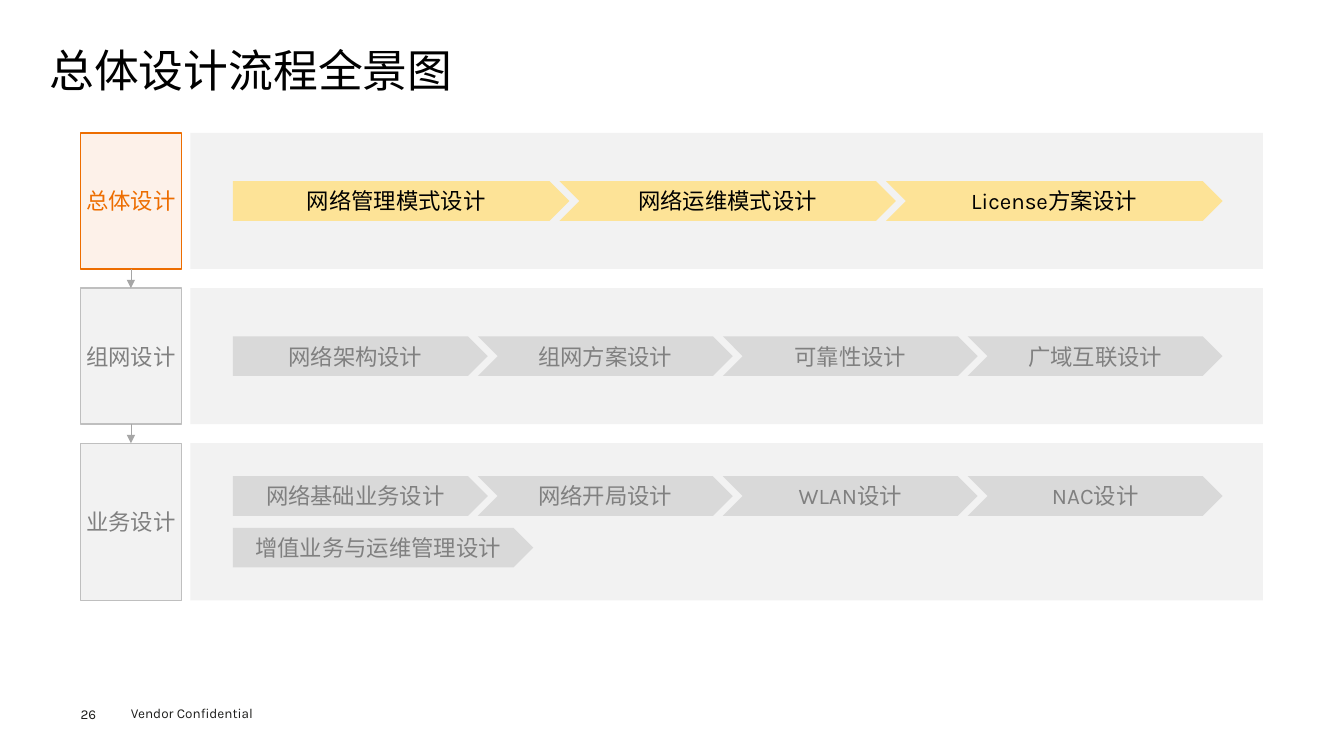
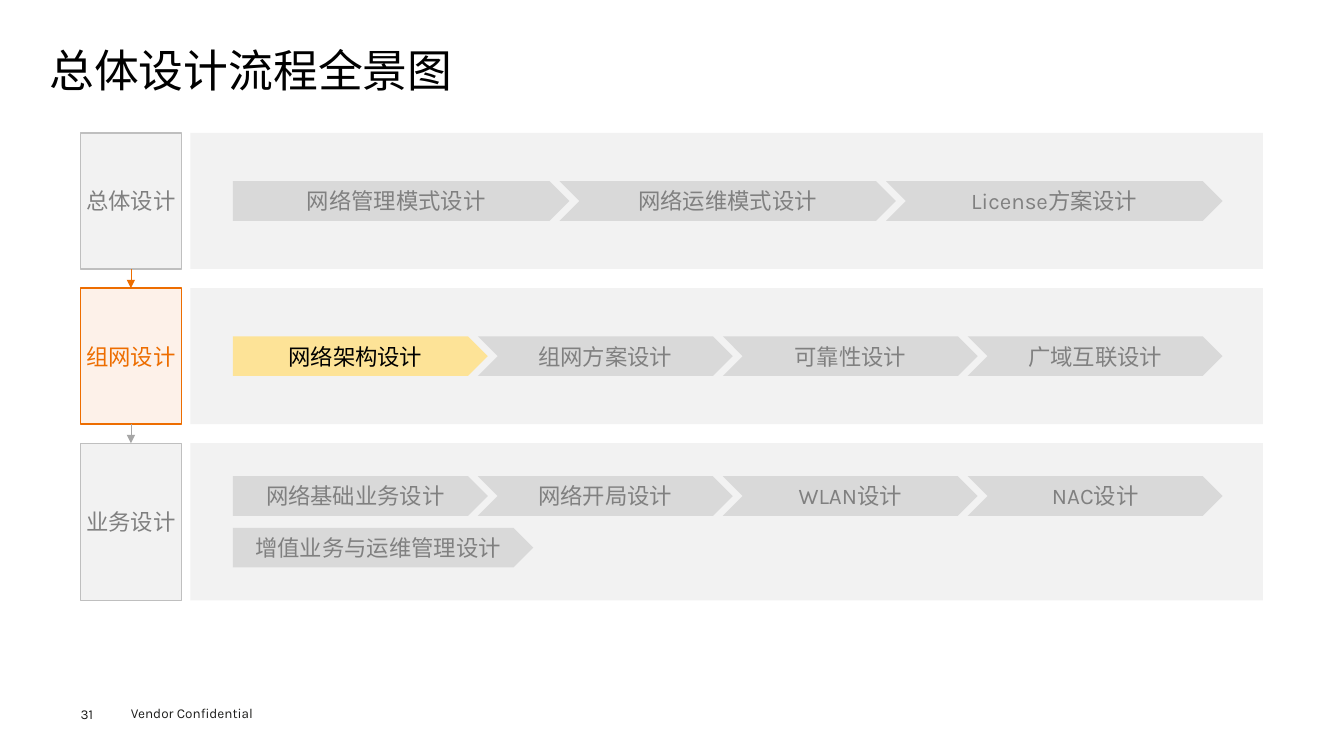
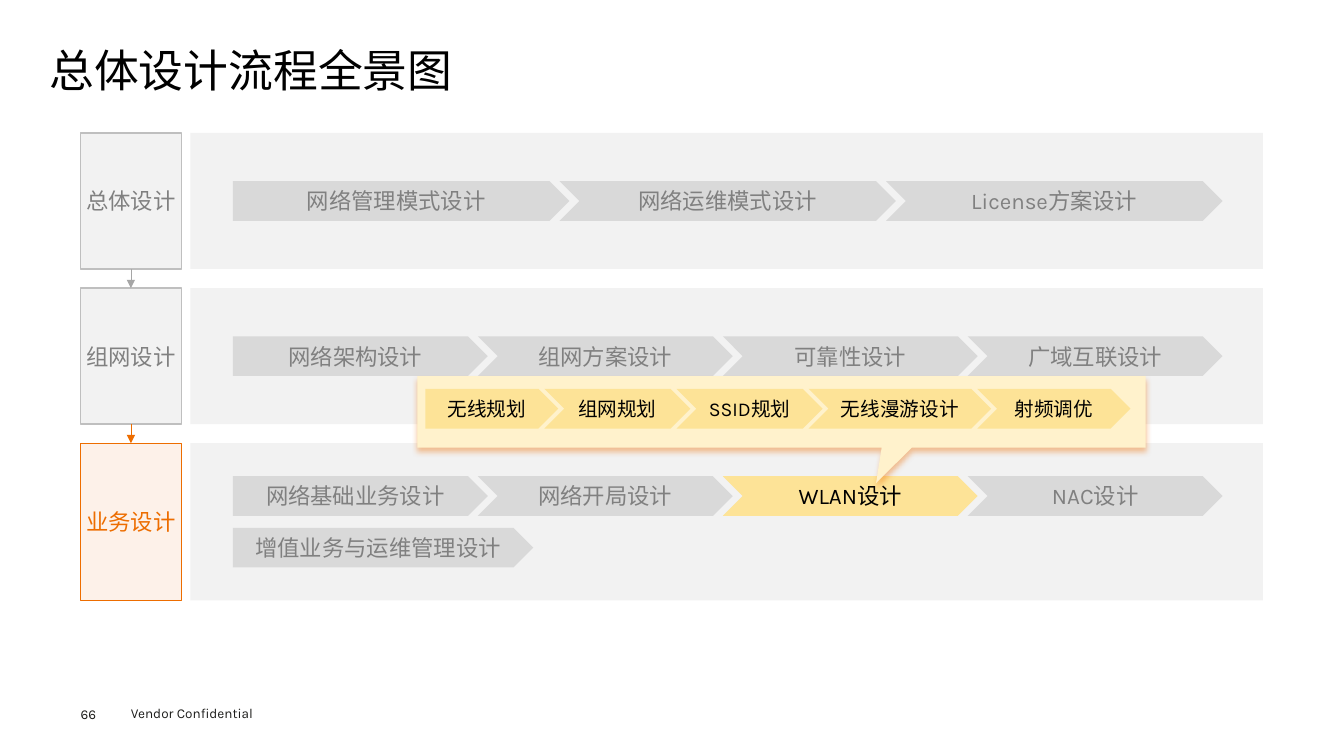
from lxml.etree import SubElement
from pptx import Presentation
from pptx.dml.color import RGBColor
from pptx.enum.shapes import MSO_CONNECTOR as Connector, MSO_SHAPE as Shape
from pptx.enum.text import MSO_ANCHOR as Anchor, MSO_AUTO_SIZE as AutoSize, PP_ALIGN as Align
from pptx.oxml import parse_xml
from pptx.oxml.ns import nsdecls, qn
from pptx.util import Cm, Pt

TITLE = "总体设计流程全景图"
FOOTER = "Vendor Confidential"

# Stage name, box height in cm, rows of steps
STAGES = [
    ("总体设计", 3.43, [["网络管理模式设计", "网络运维模式设计", "License方案设计"]]),
    ("组网设计", 3.43, [["网络架构设计", "组网方案设计", "可靠性设计", "广域互联设计"]]),
    ("业务设计", 3.96, [["网络基础业务设计", "网络开局设计", "WLAN设计", "NAC设计"],
                    ["增值业务与运维管理设计"]]),
]
WLAN_STEPS = [("无线规划", 3.35), ("组网规划", 3.68), ("SSID规划", 3.68),
              ("无线漫游设计", 4.6), ("射频调优", 3.86)]
# Page number, active stage, highlighted steps, steps in the callout
PAGES = [
    ("26", "总体设计", STAGES[0][2][0], []),
    ("31", "组网设计", ["网络架构设计"], []),
    ("66", "业务设计", ["WLAN设计"], WLAN_STEPS),
]

FONT = "Karla"
BLACK, INK, ORANGE = "000000", "1D1D1B", "ED6D00"
PANEL, GREY_TEXT, GREY_ARROW = "F2F2F2", "808080", "A6A6A6"
STAGE_ACTIVE = dict(fill="FDF1E9", line=ORANGE, color=ORANGE)
STAGE_IDLE = dict(fill=PANEL, line="BFBFBF", color=GREY_TEXT)
STEP_ACTIVE = dict(fill="FDE397", color=BLACK)
STEP_IDLE = dict(fill="D9D9D9", color=GREY_TEXT)

# Lengths in cm
STAGE_LEFT, STAGE_TOP, STAGE_WIDTH, STAGE_GAP = 2.03, 3.35, 2.54, 0.48
PANEL_LEFT, PANEL_WIDTH = 4.8, 27.03
STEP_LEFT, ROW_WIDTH, STEP_HEIGHT, ROW_PITCH = 5.87, 24.94, 1, 1.3
STEP_OVERLAP, SINGLE_WIDTH = 0.25, 7.57
CALLOUT = [(10.52, 9.48), (28.87, 9.48), (28.87, 11.28), (22.98, 11.28),
           (22.08, 12.17), (22.22, 11.28), (10.52, 11.28)]
CALLOUT_STEP_LEFT, CALLOUT_STEP_TOP, CALLOUT_OVERLAP = 10.72, 9.8, 0.35


def rgb(value):
    return RGBColor.from_string(value)


def write(box, text, size, color, align=Align.LEFT, anchor=Anchor.TOP, inset=0.0):
    frame = box.text_frame
    frame.word_wrap = True
    frame.auto_size = AutoSize.NONE
    frame.vertical_anchor = anchor
    frame.margin_left = frame.margin_right = Cm(inset)
    frame.margin_top = frame.margin_bottom = Cm(inset / 2)
    para = frame.paragraphs[0]
    para.text = text
    para.alignment = align
    para.font.name = FONT
    para.font.size = Pt(size)
    para.font.color.rgb = rgb(color)
    return para


def paint(shape, fill, line=None):
    shape.shadow.inherit = False
    shape.fill.solid()
    shape.fill.fore_color.rgb = rgb(fill)
    if line:
        shape.line.color.rgb = rgb(line)
        shape.line.width = Pt(1)
    else:
        shape.line.fill.background()


def add_box(page, kind, place, fill, line=None, text="", size=16, color=BLACK):
    box = page.shapes.add_shape(kind, *map(Cm, place))
    paint(box, fill, line)
    if text:
        write(box, text, size, color, Align.CENTER, Anchor.MIDDLE)
    return box


def add_arrow(page, upper, lower, color):
    arrow = page.shapes.add_connector(Connector.STRAIGHT, 0, 0, 0, 0)
    arrow.begin_connect(upper, 2)
    arrow.end_connect(lower, 0)
    arrow.line.color.rgb = rgb(color)
    arrow.line.width = Pt(0.5)
    SubElement(arrow.line._get_or_add_ln(), qn("a:tailEnd"), type="triangle")
    SubElement(arrow._element.spPr, qn("a:effectLst"))


def add_steps(page, left, top, steps, overlap, highlighted, size):
    """Draw one chain of (text, width) steps: a pentagon, then chevrons."""
    for index, (text, width) in enumerate(steps):
        style = STEP_ACTIVE if text in highlighted else STEP_IDLE
        kind = Shape.CHEVRON if index else Shape.PENTAGON
        add_box(page, kind, (left, top, width, STEP_HEIGHT), text=text, size=size, **style)
        left += width - overlap


def add_stages(page, active, highlighted):
    top, previous = STAGE_TOP, None
    for name, height, rows in STAGES:
        add_box(page, Shape.RECTANGLE, (PANEL_LEFT, top, PANEL_WIDTH, height), PANEL)
        style = STAGE_ACTIVE if name == active else STAGE_IDLE
        box = add_box(page, Shape.RECTANGLE, (STAGE_LEFT, top, STAGE_WIDTH, height),
                      text=name, **style)
        if previous:
            add_arrow(page, previous, box, ORANGE if name == active else GREY_ARROW)
        row_top = top + (height - STEP_HEIGHT - ROW_PITCH * (len(rows) - 1)) / 2
        for row in rows:
            count = len(row)
            width = (ROW_WIDTH + STEP_OVERLAP * (count - 1)) / count if count > 1 else SINGLE_WIDTH
            add_steps(page, STEP_LEFT, row_top, [(text, width) for text in row],
                      STEP_OVERLAP, highlighted, 16)
            row_top += ROW_PITCH
        top += height + STAGE_GAP
        previous = box


def add_callout(page, steps):
    corners = [(Cm(x), Cm(y)) for x, y in CALLOUT]
    builder = page.shapes.build_freeform(*corners[0])
    builder.add_line_segments(corners[1:], close=True)
    callout = builder.convert_to_shape()
    paint(callout, "FFF2CC")
    effects = callout._element.spPr.find(qn("a:effectLst"))
    effects.append(parse_xml(
        f'<a:outerShdw {nsdecls("a")} blurRad="{Pt(4)}" dist="{Pt(3)}" dir="5400000" '
        f'algn="t" rotWithShape="0"><a:srgbClr val="{ORANGE}"><a:alpha val="40000"/>'
        '</a:srgbClr></a:outerShdw>'))
    add_steps(page, CALLOUT_STEP_LEFT, CALLOUT_STEP_TOP, steps, CALLOUT_OVERLAP,
              [text for text, _ in steps], 14)


def add_frame(page, number):
    """Add the title, page number and footer that every slide has."""
    title = page.shapes.title
    title.left, title.top, title.width, title.height = map(Cm, (1.24, 1.24, 31.37, 1.37))
    write(title, TITLE, 32, BLACK).line_spacing = 0.9
    for text, place, inset in [(number, (2.03, 17.78, 1.4, 0.41), 0),
                               (FOOTER, (3.05, 17.65, 4.06, 0.69), 0.25)]:
        write(page.shapes.add_textbox(*map(Cm, place)), text, 9.7, INK, inset=inset)


def main():
    deck = Presentation()
    deck.slide_width, deck.slide_height = Cm(33.87), Cm(19.05)
    for number, active, highlighted, callout_steps in PAGES:
        page = deck.slides.add_slide(deck.slide_layouts[5])
        add_frame(page, number)
        add_stages(page, active, highlighted)
        if callout_steps:
            add_callout(page, callout_steps)
    deck.save("out.pptx")


if __name__ == "__main__":
    main()
